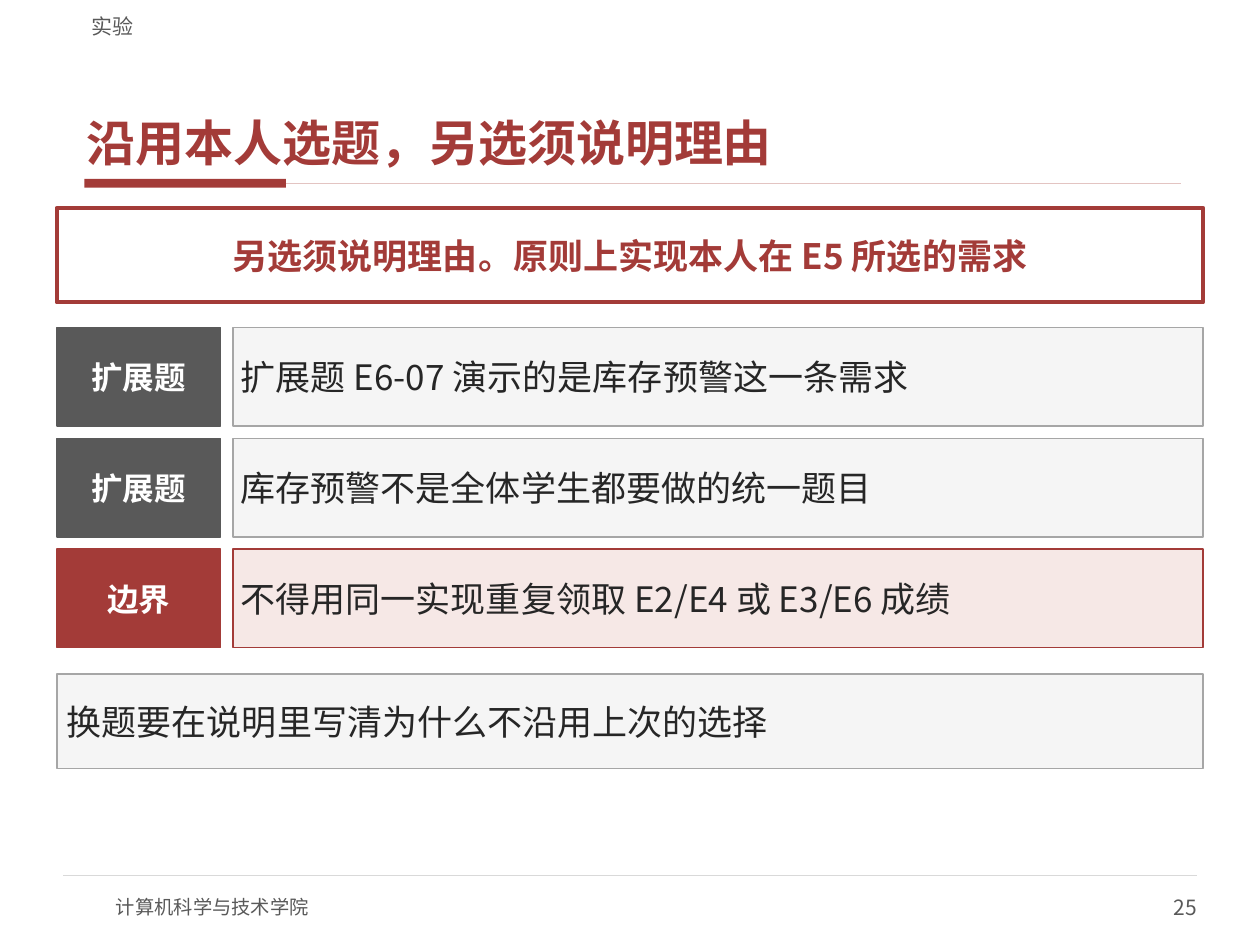
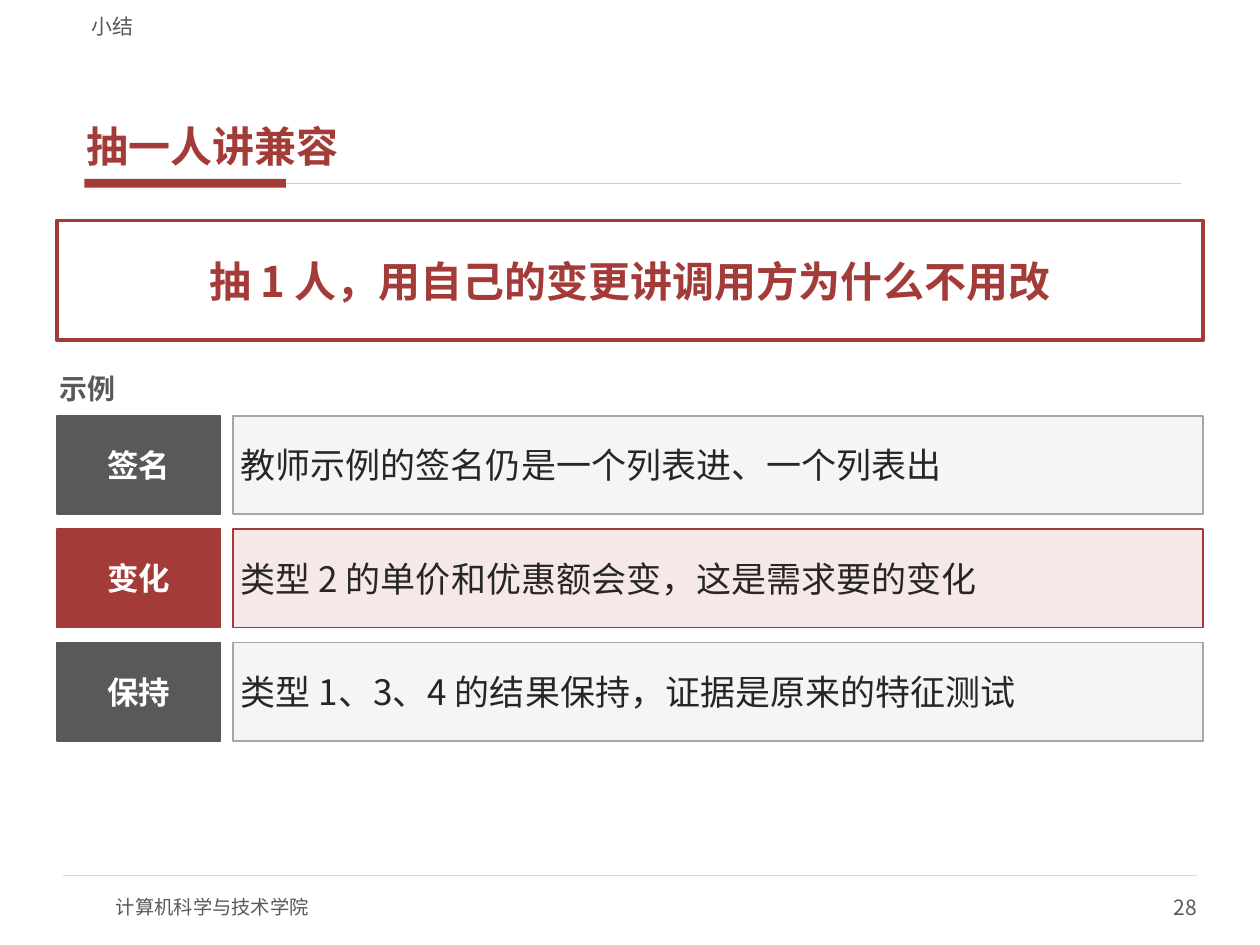
from lxml import etree
from pptx import Presentation
from pptx import util as u
from pptx.dml.color import RGBColor
from pptx.enum import shapes, text
from pptx.oxml import ns

Pt = u.Pt
FONT = "Noto Sans CJK SC"
RED = RGBColor(0xA3, 0x3B, 0x38)
PINK = RGBColor(0xF6, 0xE8, 0xE6)
RULE_PINK = RGBColor(0xE3, 0xC4, 0xC2)
WHITE = RGBColor(0xFF, 0xFF, 0xFF)
PALE = RGBColor(0xF5, 0xF5, 0xF5)
RULE_GRAY = RGBColor(0xD9, 0xD9, 0xD9)
BORDER = RGBColor(0xA6, 0xA6, 0xA6)
GRAY = RGBColor(0x59, 0x59, 0x59)
INK = RGBColor(0x26, 0x26, 0x26)

LEFT, TOTAL_WIDTH = 32.4, 655.2
LABEL_WIDTH, LABEL_GAP, ROW_HEIGHT = 93.6, 7.2, 56.16
HEAD_LEFT, HEAD_WIDTH = 45.36, 630
BOX_INSETS, ROW_INSETS = (5.76, 2.88), (4.32, 2.16)
START, CENTER, END = text.PP_ALIGN.LEFT, text.PP_ALIGN.CENTER, text.PP_ALIGN.RIGHT
MIDDLE, BOTTOM = text.MSO_ANCHOR.MIDDLE, text.MSO_ANCHOR.BOTTOM


def write(shape, words, size, color, bold=False, align=START, anchor=MIDDLE, insets=(0, 0)):
    """Put one styled paragraph in a shape; insets are (side, top and bottom)."""
    frame = shape.text_frame
    frame.word_wrap = True
    frame.vertical_anchor = anchor
    frame.margin_left = frame.margin_right = Pt(insets[0])
    frame.margin_top = frame.margin_bottom = Pt(insets[1])
    frame.text = words
    paragraph = frame.paragraphs[0]
    paragraph.alignment = align
    for run in paragraph.runs:
        run.font.name, run.font.size, run.font.bold = FONT, Pt(size), bold
        run.font.color.rgb = color
        etree.SubElement(run.font._element, ns.qn("a:ea")).set("typeface", FONT)
    return paragraph


def add_text(slide, left, top, width, height, words, size, color, **style):
    shape = slide.shapes.add_textbox(Pt(left), Pt(top), Pt(width), Pt(height))
    return write(shape, words, size, color, **style)


def add_box(slide, left, top, width, height, fill, border=None, border_width=1):
    shape = slide.shapes.add_shape(
        shapes.MSO_SHAPE.RECTANGLE, Pt(left), Pt(top), Pt(width), Pt(height))
    shape.shadow.inherit = False
    shape.fill.solid()
    shape.fill.fore_color.rgb = fill
    if border is None:
        shape.line.fill.background()
    else:
        shape.line.color.rgb = border
        shape.line.width = Pt(border_width)
    return shape


def add_rule(slide, left, right, y, color, width):
    line = slide.shapes.add_connector(
        shapes.MSO_CONNECTOR.STRAIGHT, Pt(left), Pt(y), Pt(right), Pt(y))
    line.line.color.rgb = color
    line.line.width = Pt(width)
    etree.SubElement(line._element.spPr, ns.qn("a:effectLst"))


def add_page(presentation, section, title, title_size, number):
    """Add a slide with the shared title rules, footer, title and section name."""
    slide = presentation.slides.add_slide(presentation.slide_layouts[6])
    add_box(slide, 48.24, 102.24, 115.2, 5.04, RED)
    add_rule(slide, 163.44, 674.64, 104.9, RULE_PINK, 1)
    add_rule(slide, 36, 684, 500.4, RULE_GRAY, 0.75)
    add_text(slide, 66.24, 504, 288, 28.8, "计算机科学与技术学院", 11, GRAY)
    add_text(slide, 540, 504, 144, 28.8, str(number), 12, GRAY, align=END)
    heading = add_text(slide, HEAD_LEFT, 23.76, HEAD_WIDTH, 75.6, title, title_size, RED,
                       bold=True, anchor=BOTTOM, insets=(4.32, 1.44))
    heading.space_after = Pt(2)
    add_text(slide, HEAD_LEFT, 2.88, HEAD_WIDTH, 19.44, section, 12, GRAY,
             anchor=BOTTOM, insets=(7.2, 0))
    return slide


def add_key_message(slide, top, height, words, size):
    box = add_box(slide, LEFT, top, TOTAL_WIDTH, height, WHITE, RED, 2.25)
    write(box, words, size, RED, bold=True, align=CENTER, insets=BOX_INSETS)


def add_note(slide, top, height, words):
    box = add_box(slide, LEFT, top, TOTAL_WIDTH, height, PALE, BORDER)
    write(box, words, 20, INK, insets=BOX_INSETS)


def add_labelled_rows(slide, top, pitch, rows, highlighted):
    """Stack label and statement pairs; the highlighted row is red."""
    statement_left = LEFT + LABEL_WIDTH + LABEL_GAP
    statement_width = LEFT + TOTAL_WIDTH - statement_left
    for index, (label, statement) in enumerate(rows):
        strong, fill, border = (RED, PINK, RED) if index == highlighted else (GRAY, PALE, BORDER)
        y = top + index * pitch
        box = add_box(slide, LEFT, y, LABEL_WIDTH, ROW_HEIGHT, strong, strong)
        write(box, label, 18, WHITE, bold=True, align=CENTER, insets=BOX_INSETS)
        box = add_box(slide, statement_left, y, statement_width, ROW_HEIGHT, fill, border)
        write(box, statement, 20, INK, insets=ROW_INSETS)


def add_topic_slide(presentation):
    slide = add_page(presentation, "实验", "沿用本人选题，另选须说明理由", 28, 25)
    add_key_message(slide, 118.8, 54, "另选须说明理由。原则上实现本人在 E5 所选的需求", 20)
    add_labelled_rows(slide, 187.2, 63.36, [
        ("扩展题", "扩展题 E6-07 演示的是库存预警这一条需求"),
        ("扩展题", "库存预警不是全体学生都要做的统一题目"),
        ("边界", "不得用同一实现重复领取 E2/E4 或 E3/E6 成绩"),
    ], highlighted=2)
    add_note(slide, 385.2, 54, "换题要在说明里写清为什么不沿用上次的选择")


def add_compatibility_slide(presentation):
    slide = add_page(presentation, "小结", "抽一人讲兼容", 24, 28)
    add_key_message(slide, 126, 68.4, "抽 1 人，用自己的变更讲调用方为什么不用改", 24)
    add_text(slide, LEFT, 210.24, 216, 23.04, "示例", 16, GRAY, bold=True, insets=(1.44, 0.72))
    add_labelled_rows(slide, 237.6, 64.8, [
        ("签名", "教师示例的签名仍是一个列表进、一个列表出"),
        ("变化", "类型 2 的单价和优惠额会变，这是需求要的变化"),
        ("保持", "类型 1、3、4 的结果保持，证据是原来的特征测试"),
    ], highlighted=1)


def main():
    presentation = Presentation()
    presentation.slide_width, presentation.slide_height = Pt(720), Pt(540)
    add_topic_slide(presentation)
    add_compatibility_slide(presentation)
    presentation.save("out.pptx")


if __name__ == "__main__":
    main()
